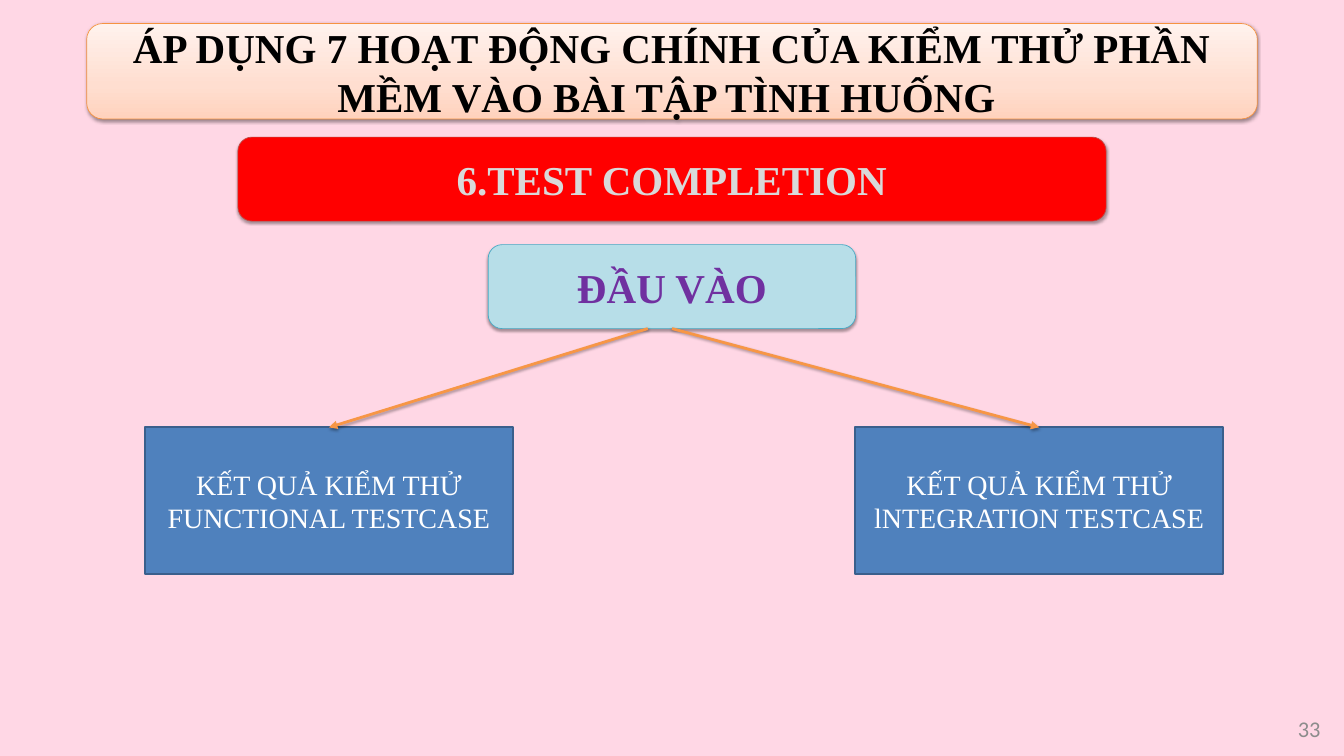
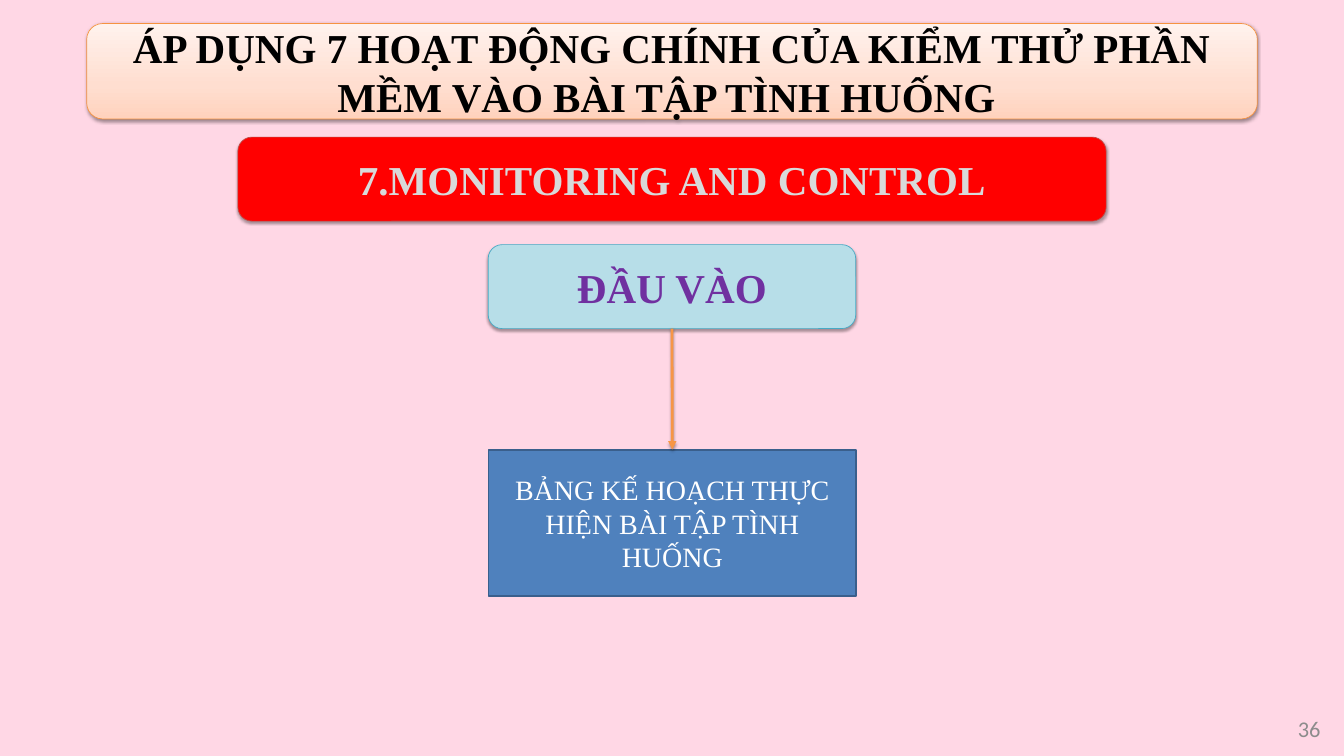
from lxml import etree
from pptx import Presentation
from pptx.dml.color import RGBColor
from pptx.enum import shapes, text
from pptx.oxml import parse_xml
from pptx.oxml.ns import nsdecls, qn
from pptx.util import Inches, Pt

TITLE = "ÁP DỤNG 7 HOẠT ĐỘNG CHÍNH CỦA KIỂM THỬ PHẦN MỀM VÀO BÀI TẬP TÌNH HUỐNG "
INPUT_LABEL = "ĐẦU VÀO"

# Each input: label, left edge of its box, x where its arrow starts
SLIDES = [
    {"number": "33", "activity": "6.TEST COMPLETION", "input_top": 6.36,
     "inputs": [("KẾT QUẢ KIỂM THỬ FUNCTIONAL TESTCASE", 2.16, 9.64),
                ("KẾT QUẢ KIỂM THỬ lNTEGRATION TESTCASE", 12.73, 10)]},
    {"number": "36", "activity": "7.MONITORING AND CONTROL", "input_top": 6.69,
     "inputs": [("BẢNG KẾ HOẠCH THỰC HIỆN BÀI TẬP TÌNH HUỐNG", 7.27, 10)]},
]

SLIDE_W, SLIDE_H = 20, 11.25
BOX_W, INPUT_H = 5.47, 2.18
HEADING_TOP, BAND_H = 3.64, 1.25
SERIF = "Times New Roman"
BACKGROUND = "FFD7E5"
TITLE_GRADIENT = [(0, "FFD2BD"), (35, "FFDED0"), (100, "FFF2ED")]
ARROW = "F79646"
ROUNDED = shapes.MSO_SHAPE.ROUNDED_RECTANGLE
RECTANGLE = shapes.MSO_SHAPE.RECTANGLE


def rgb(value):
    return RGBColor.from_string(value)


def write(sp, words, size, color, font=SERIF, bold=False, align=text.PP_ALIGN.CENTER):
    tf = sp.text_frame
    tf.text = words
    tf.word_wrap = True
    tf.vertical_anchor = text.MSO_ANCHOR.MIDDLE
    p = tf.paragraphs[0]
    p.alignment = align
    f = p.runs[0].font
    f.name, f.size, f.bold = font, Pt(size), bold
    f.color.rgb = rgb(color)


def add_shadow(sp, opacity=35, distance=1.8):
    """Give a shape or connector a soft shadow straight below it."""
    sp_pr = sp._element.spPr
    for old in sp_pr.findall(qn("a:effectLst")):
        sp_pr.remove(old)
    sp_pr.append(parse_xml(
        f'<a:effectLst {nsdecls("a")}><a:outerShdw blurRad="{Pt(3.1)}" dist="{Pt(distance)}" '
        f'dir="5400000" rotWithShape="0"><a:srgbClr val="000000">'
        f'<a:alpha val="{opacity * 1000}"/></a:srgbClr></a:outerShdw></a:effectLst>'))


def fill_gradient(sp, stops):
    """Fill a shape from its bottom edge upwards."""
    sp.fill.gradient()
    sp.fill.gradient_angle = 90
    stop_list = sp._element.spPr.find(".//" + qn("a:gsLst"))
    for old in list(stop_list):
        stop_list.remove(old)
    for position, color in stops:
        stop = etree.SubElement(stop_list, qn("a:gs"), pos=str(position * 1000))
        etree.SubElement(stop, qn("a:srgbClr"), val=color)


def add_box(s, kind, left, top, width, height, fill, line, line_width):
    sp = s.shapes.add_shape(kind, Inches(left), Inches(top), Inches(width), Inches(height))
    sp.shadow.inherit = False
    if isinstance(fill, list):
        fill_gradient(sp, fill)
    else:
        sp.fill.solid()
        sp.fill.fore_color.rgb = rgb(fill)
    sp.line.color.rgb = rgb(line)
    sp.line.width = Pt(line_width)
    return sp


def add_band(s, words, top, width, height, fill, line, color, **shadow):
    """Add a rounded, shadowed heading centred across the slide."""
    sp = add_box(s, ROUNDED, (SLIDE_W - width) / 2, top, width, height, fill, line, 0.75)
    add_shadow(sp, **shadow)
    write(sp, words, 44, color, bold=True)


def add_arrow(s, x1, y1, x2, y2):
    line = s.shapes.add_connector(shapes.MSO_CONNECTOR.STRAIGHT,
                                  Inches(x1), Inches(y1), Inches(x2), Inches(y2))
    line.line.color.rgb = rgb(ARROW)
    line.line.width = Pt(3)
    etree.SubElement(line.line._get_or_add_ln(), qn("a:tailEnd"), type="triangle")
    add_shadow(line)


def add_slide(prs, content):
    s = prs.slides.add_slide(prs.slide_layouts[6])
    s.background.fill.solid()
    s.background.fill.fore_color.rgb = rgb(BACKGROUND)

    add_band(s, TITLE, 0.35, 17.42, 1.42, TITLE_GRADIENT, "F69240", "000000",
             opacity=38, distance=1.6)
    number = s.shapes.add_textbox(Inches(17.42), Inches(10.64), Inches(2.33), Inches(0.4))
    write(number, content["number"], 24, "8C8C8C", font="Calibri", align=text.PP_ALIGN.RIGHT)
    add_band(s, content["activity"], 2.04, 12.92, BAND_H, "FF0000", "BF4C48", "D9D9D9")
    add_band(s, INPUT_LABEL, HEADING_TOP, BOX_W, BAND_H, "B7DEE8", "46AAC5", "7030A0")

    top = content["input_top"]
    for label, left, arrow_x in content["inputs"]:
        sp = add_box(s, RECTANGLE, left, top, BOX_W, INPUT_H, "4F81BD", "3A5F8C", 2)
        write(sp, label, 30, "FFFFFF")
        add_arrow(s, arrow_x, HEADING_TOP + BAND_H, left + BOX_W / 2, top)


def main():
    prs = Presentation()
    prs.slide_width, prs.slide_height = Inches(SLIDE_W), Inches(SLIDE_H)
    for content in SLIDES:
        add_slide(prs, content)
    prs.save("out.pptx")


if __name__ == "__main__":
    main()
